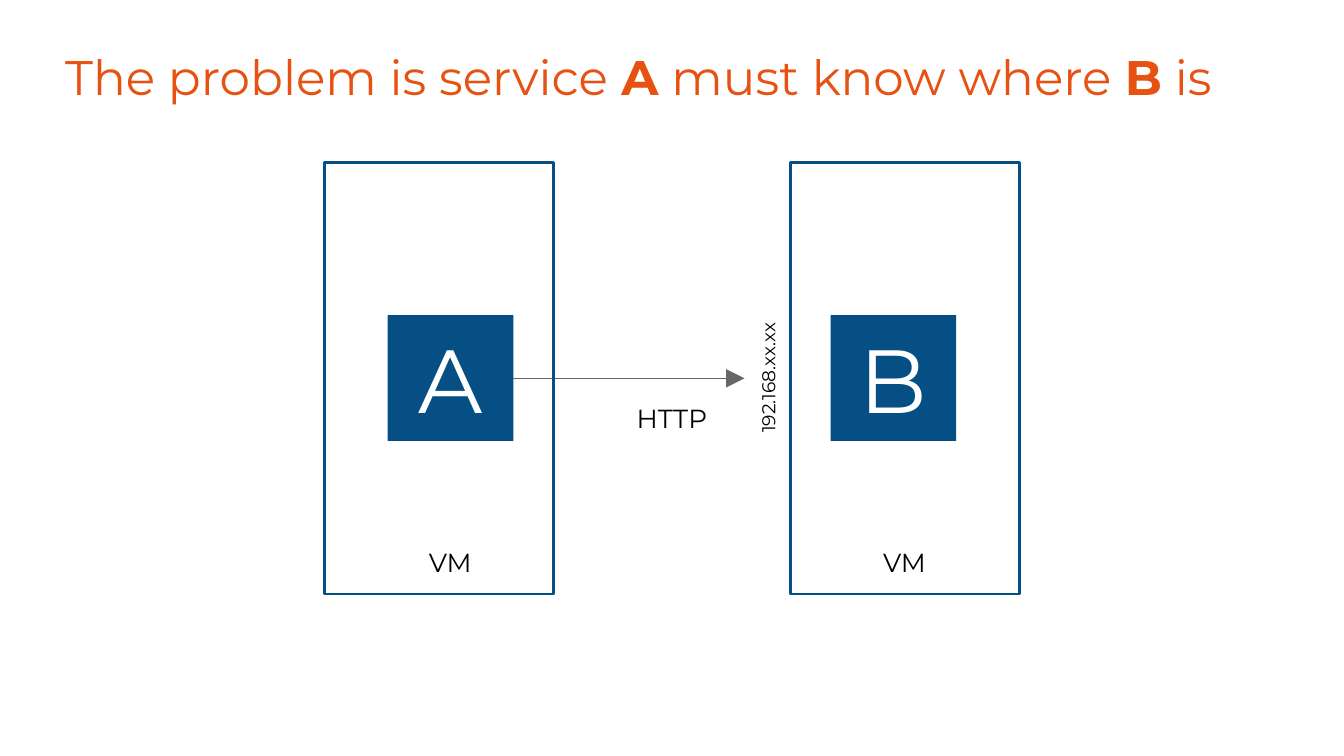
from pptx import Presentation
from pptx.dml.color import RGBColor
from pptx.enum.shapes import MSO_CONNECTOR, MSO_SHAPE
from pptx.enum.text import MSO_ANCHOR, MSO_AUTO_SIZE, PP_ALIGN
from pptx.oxml.ns import qn
from pptx.util import Pt
from lxml.etree import SubElement

PX = 4572
ORANGE = RGBColor(0xE7, 0x51, 0x12)
BLUE = RGBColor(0x05, 0x4F, 0x84)
GRAY = RGBColor(0x66, 0x66, 0x66)
WHITE = RGBColor(0xFF, 0xFF, 0xFF)
BLACK = RGBColor(0, 0, 0)
FONT = "Montserrat"


def px(*values):
    return [v * PX for v in values]


def format_text(shape, size, color, align=PP_ALIGN.CENTER, anchor=MSO_ANCHOR.MIDDLE):
    tf = shape.text_frame
    tf.word_wrap = True
    tf.auto_size = MSO_AUTO_SIZE.NONE
    tf.vertical_anchor = anchor
    tf.margin_left = tf.margin_right = tf.margin_top = tf.margin_bottom = 20 * PX
    p = tf.paragraphs[0]
    p.alignment = align
    p.line_spacing = 1.0
    p.font.name = FONT
    p.font.size = Pt(size)
    p.font.color.rgb = color


prs = Presentation()
prs.slide_width, prs.slide_height = px(2000, 1125)
s = prs.slides.add_slide(prs.slide_layouts[5])

title = s.shapes.title
title.left, title.top, title.width, title.height = px(77, 50, 1872, 188)
p = title.text_frame.paragraphs[0]
for text, bold in [
    ("The problem is service ", False),
    ("A", True),
    (" must know where ", False),
    ("B", True),
    (" is", False),
]:
    r = p.add_run()
    r.text = text
    r.font.bold = bold
format_text(title, 26, ORANGE, PP_ALIGN.LEFT, MSO_ANCHOR.TOP)

for name, x in [("A", 577), ("B", 1236)]:
    service = s.shapes.add_shape(MSO_SHAPE.RECTANGLE, *px(x, 469, 187, 187))
    service.shadow.inherit = False
    service.fill.solid()
    service.fill.fore_color.rgb = BLUE
    service.line.fill.background()
    service.text_frame.text = name
    format_text(service, 48, WHITE)

arrow = s.shapes.add_connector(MSO_CONNECTOR.STRAIGHT, *px(764, 563, 1108, 563))
arrow.line.color.rgb = GRAY
arrow.line.width = Pt(0.75)
SubElement(arrow.line._get_or_add_ln(), qn("a:tailEnd"), type="triangle", w="lg", len="lg")
SubElement(arrow._element.spPr, qn("a:effectLst"))

for x in (483, 1176):
    vm = s.shapes.add_shape(MSO_SHAPE.RECTANGLE, *px(x, 242, 341, 642))
    vm.shadow.inherit = False
    vm.fill.background()
    vm.line.color.rgb = BLUE
    vm.line.width = Pt(1.5)

for text, x, y, w, size, rotation in [
    ("HTTP", 873, 588, 254, 14, 0),
    ("VM", 558, 803, 224, 14, 0),
    ("VM", 1234, 803, 224, 14, 0),
    ("192.168.xx.xx", 1016, 528, 254, 10, 270),
]:
    label = s.shapes.add_textbox(*px(x, y, w, 68))
    label.rotation = rotation
    label.text_frame.text = text
    format_text(label, size, BLACK)

prs.save("out.pptx")
